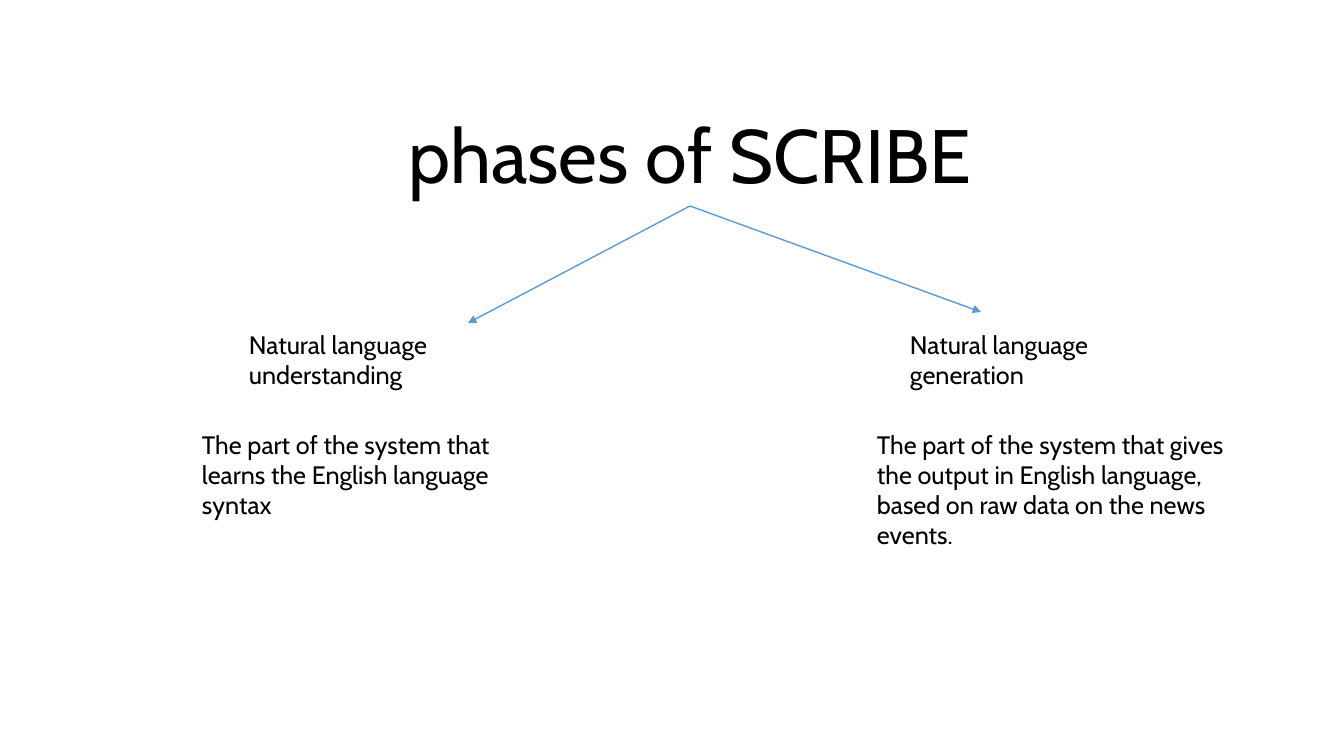
from lxml import etree
from pptx import Presentation
from pptx.dml.color import RGBColor
from pptx.enum.shapes import MSO_CONNECTOR
from pptx.enum.text import MSO_ANCHOR, PP_ALIGN
from pptx.oxml.ns import qn
from pptx.util import Pt

PX = 914400 / 100.8
STRAIGHT = MSO_CONNECTOR.STRAIGHT
TOP, BOTTOM = MSO_ANCHOR.TOP, MSO_ANCHOR.BOTTOM
LEFT, CENTER = PP_ALIGN.LEFT, PP_ALIGN.CENTER
FONT = "Cabin"
INK = "000000"
BLUE = "5B9BD5"
APEX = (690, 206)
HEAD_TOP, HEAD_SIZE = 324, (392, 72)
BODY_TOP = 424
INDENT = 31

PHASES = [
    {
        "head": "Natural language\nunderstanding",
        "head_x": 239,
        "body": "The part of the system that learns the English language syntax",
        "body_x": 161,
        "body_size": (343, 102),
        "tip": (468, 323),
    },
    {
        "head": "Natural language\ngeneration",
        "head_x": 900,
        "body": "The part of the system that gives the output in English language, "
                "based on raw data on the news events.",
        "body_x": 836,
        "body_size": (414, 132),
        "tip": (981, 312),
    },
]


def emu(*lengths):
    return [round(length * PX) for length in lengths]


def paint(target, color):
    target.rgb = RGBColor.from_string(color)


def add_text(slide, text, spot, size, points=18, align=LEFT, anchor=TOP,
             indent=0, spacing=1.0):
    frame = slide.shapes.add_textbox(*emu(*spot, *size)).text_frame
    frame.word_wrap = True
    frame.vertical_anchor = anchor
    frame.margin_left, frame.margin_right = emu(10 + indent, 10)
    frame.margin_top, frame.margin_bottom = emu(5, 5)
    frame.text = text
    for para in frame.paragraphs:
        para.alignment = align
        para.line_spacing = spacing
        for run in para.runs:
            run.font.name = FONT
            run.font.size = Pt(points)
            paint(run.font.color, INK)


def add_arrow(slide, start, end):
    arrow = slide.shapes.add_connector(STRAIGHT, *emu(*start, *end))
    arrow.line.width = Pt(1)
    arrow.line.fill.solid()
    paint(arrow.line.fill.fore_color, BLUE)
    props = arrow.element.spPr
    etree.SubElement(props.find(qn("a:ln")), qn("a:tailEnd"), type="triangle")
    etree.SubElement(props, qn("a:effectLst"))


def add_phase(slide, phase):
    add_arrow(slide, APEX, phase["tip"])
    add_text(slide, phase["head"], (phase["head_x"], HEAD_TOP), HEAD_SIZE)
    add_text(slide, phase["body"], (phase["body_x"], BODY_TOP),
             phase["body_size"], indent=INDENT)


def main():
    deck = Presentation()
    deck.slide_width, deck.slide_height = emu(1344, 756)
    slide = deck.slides.add_slide(deck.slide_layouts[6])
    add_text(slide, "phases of SCRIBE", (244, 27), (892, 178), points=54,
             align=CENTER, anchor=BOTTOM, spacing=0.9)
    for phase in PHASES:
        add_phase(slide, phase)
    deck.save("out.pptx")


if __name__ == "__main__":
    main()
